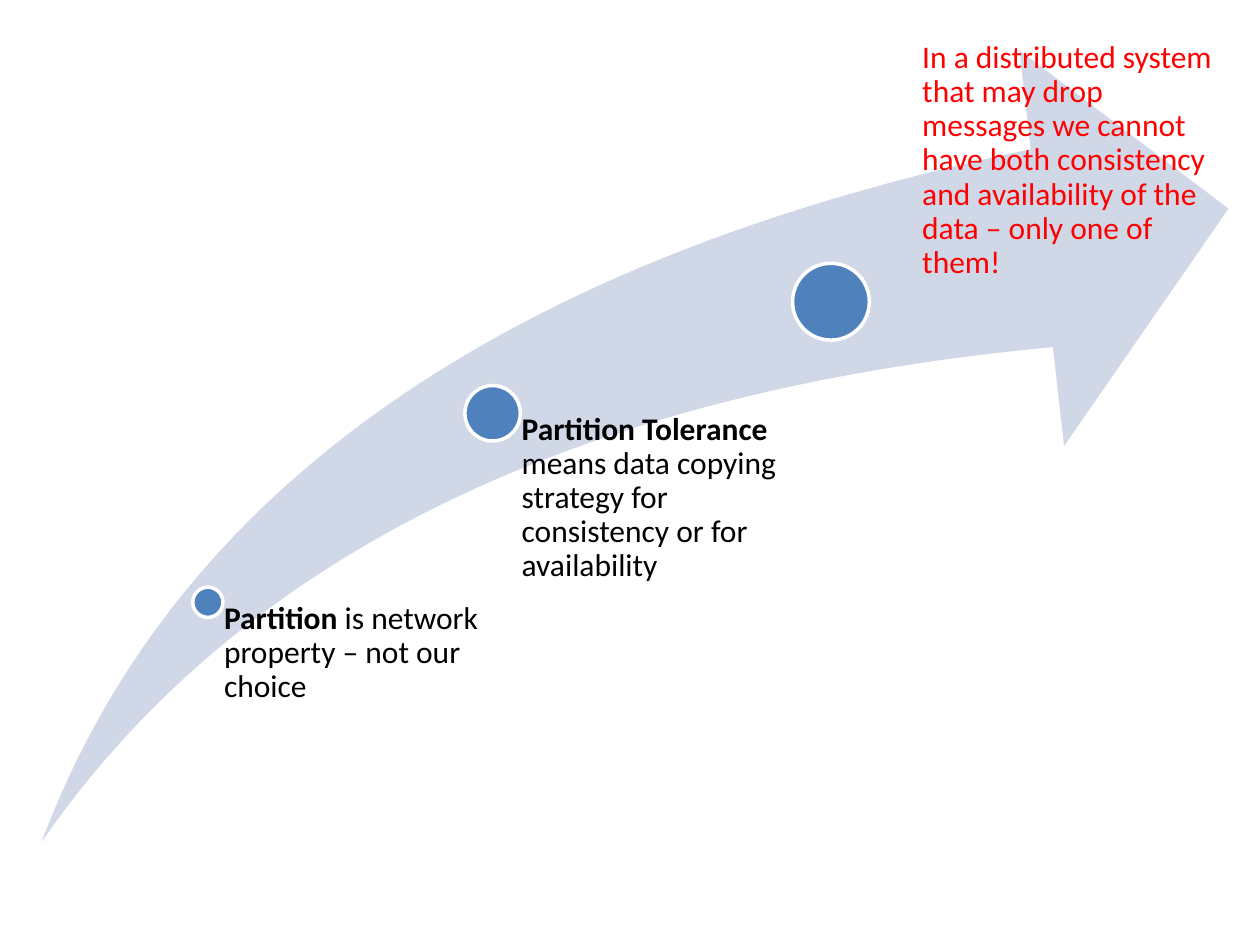
from pptx import Presentation
from pptx.dml.color import RGBColor
from pptx.enum.shapes import MSO_SHAPE
from pptx.enum.text import MSO_ANCHOR, PP_ALIGN
from pptx.util import Pt

SWOOSH, OVAL = MSO_SHAPE.SWOOSH_ARROW, MSO_SHAPE.OVAL
TOP, LEFT = MSO_ANCHOR.TOP, PP_ALIGN.LEFT

THEME = {
    "font": "Calibri",
    "size": 18,
    "text": RGBColor(0x00, 0x00, 0x00),
    "warning": RGBColor(0xFF, 0x00, 0x00),
    "arrow": RGBColor(0xD0, 0xD8, 0xE8),
    "dot": RGBColor(0x4F, 0x81, 0xBD),
    "outline": RGBColor(0xFF, 0xFF, 0xFF),
}

ARROW_BOX = (23.8, 28.8, 678.2, 452.2)
MILESTONES = [
    {"center": (118.8, 344.2), "diameter": 17.3, "box": (118.8, 344.2, 157.7, 122.4),
     "inset": 9.2, "color": "text",
     "runs": [("Partition", True), (" is network property – not our choice", False)]},
    {"center": (281.5, 236.2), "diameter": 31.7, "box": (281.5, 236.2, 162.7, 230.4),
     "inset": 16.6, "color": "text",
     "runs": [("Partition Tolerance ", True),
              ("means data copying strategy for consistency or for availability", False)]},
    {"center": (474.8, 172.4), "diameter": 43.9, "box": (504, 23.8, 188.6, 200.9),
     "inset": 23, "color": "warning",
     "runs": [("In a distributed system that may drop messages we cannot have both "
               "consistency and availability of the data – only one of them!", False)]},
]


def points(*values):
    return [Pt(value) for value in values]


def add_filled_shape(slide, kind, box, color):
    shape = slide.shapes.add_shape(kind, *points(*box))
    shape.shadow.inherit = False
    shape.fill.solid()
    shape.fill.fore_color.rgb = THEME[color]
    shape.line.fill.background()
    return shape


def add_arrow(slide):
    arrow = add_filled_shape(slide, SWOOSH, ARROW_BOX, "arrow")
    for index in range(2):
        arrow.adjustments[index] = 0.25


def add_dot(slide, center, diameter):
    left, top = (position - diameter / 2 for position in center)
    dot = add_filled_shape(slide, OVAL, (left, top, diameter, diameter), "dot")
    dot.line.color.rgb = THEME["outline"]
    dot.line.width = Pt(2)


def add_caption(slide, box, inset, color, runs):
    text_frame = slide.shapes.add_textbox(*points(*box)).text_frame
    text_frame.word_wrap = True
    text_frame.vertical_anchor = TOP
    text_frame.margin_left = Pt(inset)
    text_frame.margin_top = text_frame.margin_right = text_frame.margin_bottom = 0
    paragraph = text_frame.paragraphs[0]
    paragraph.alignment = LEFT
    paragraph.line_spacing = 0.9
    for text, bold in runs:
        run = paragraph.add_run()
        run.text = text
        run.font.name = THEME["font"]
        run.font.size = Pt(THEME["size"])
        run.font.bold = bold
        run.font.color.rgb = THEME[color]


def main():
    presentation = Presentation()
    presentation.slide_width, presentation.slide_height = points(720, 540)
    slide = presentation.slides.add_slide(presentation.slide_layouts.get_by_name("Blank"))
    add_arrow(slide)
    for milestone in MILESTONES:
        add_dot(slide, milestone["center"], milestone["diameter"])
        add_caption(slide, milestone["box"], milestone["inset"],
                    milestone["color"], milestone["runs"])
    presentation.save("out.pptx")


if __name__ == "__main__":
    main()
